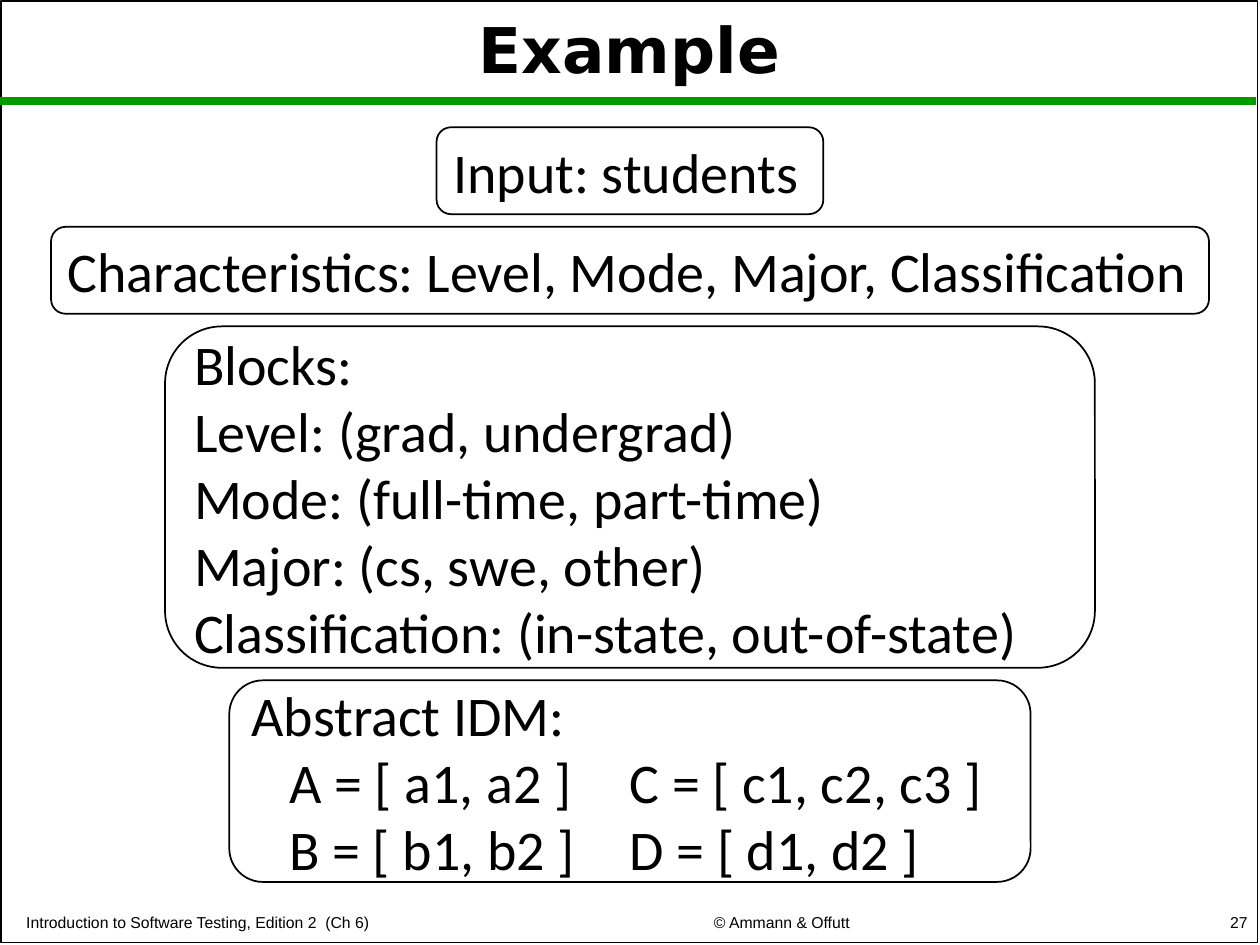
from lxml import etree
from pptx import Presentation
from pptx.dml.color import RGBColor
from pptx.enum import shapes, text
from pptx.oxml import ns
from pptx.util import Inches, Pt

BLACK = RGBColor(0, 0, 0)
WHITE = RGBColor(255, 255, 255)
GREEN = RGBColor(0, 0x99, 0)
LEFT, CENTER, RIGHT = text.PP_ALIGN.LEFT, text.PP_ALIGN.CENTER, text.PP_ALIGN.RIGHT
MIDDLE, BOTTOM = text.MSO_ANCHOR.MIDDLE, text.MSO_ANCHOR.BOTTOM
STOPS = (0.3, 3)
MID, GAP = 5, 0.1


def set_font(par, name, size, bold=False):
    par.font.name = name
    par.font.size = Pt(size)
    par.font.bold = bold
    par.font.color.rgb = BLACK


def add_tabs(par):
    props = par._p.get_or_add_pPr()
    tabs = etree.SubElement(props, ns.qn("a:tabLst"))
    for stop in STOPS:
        etree.SubElement(tabs, ns.qn("a:tab"), pos=str(Inches(stop)), algn="l")


def fill_text(shape, lines, name, size, align=LEFT, anchor=MIDDLE, bold=False):
    frame = shape.text_frame
    frame.word_wrap = True
    frame.vertical_anchor = anchor
    frame.text = "\n".join(lines)
    for par in frame.paragraphs:
        par.alignment = align
        if "\t" in par.text:
            add_tabs(par)
        set_font(par, name, size, bold)


def add_frame(slide):
    box = slide.shapes.add_shape(shapes.MSO_SHAPE.RECTANGLE, Inches(0.01),
                                 Inches(0.01), Inches(9.97), Inches(7.47))
    box.shadow.inherit = False
    box.fill.background()
    box.line.color.rgb = BLACK
    box.line.width = Pt(1)


def add_rule(slide):
    rule = slide.shapes.add_connector(shapes.MSO_CONNECTOR.STRAIGHT, 0,
                                      Inches(0.8), Inches(9.97), Inches(0.8))
    rule.line.color.rgb = GREEN
    rule.line.width = Pt(4.5)
    etree.SubElement(rule._element.spPr, ns.qn("a:effectLst"))


def set_title(slide, words):
    title = slide.shapes.title
    title.left, title.top = Inches(0.01), Inches(0.11)
    title.width, title.height = Inches(9.97), Inches(0.63)
    fill_text(title, [words], "DejaVu Sans", 36, CENTER, bold=True)
    title.text_frame.paragraphs[0].line_spacing = 0.9


def add_note(slide, words, left, width, align):
    """Add one part of the footer line."""
    box = slide.shapes.add_textbox(Inches(left), Inches(7.17),
                                   Inches(width), Inches(0.27))
    fill_text(box, [words], "Arial", 9, align, BOTTOM)


def add_panel(slide, top, width, height, lines):
    """Add a rounded panel centred on the slide."""
    panel = slide.shapes.add_shape(
        shapes.MSO_SHAPE.ROUNDED_RECTANGLE, Inches(MID - width / 2),
        Inches(top), Inches(width), Inches(height))
    panel.shadow.inherit = False
    panel.fill.solid()
    panel.fill.fore_color.rgb = WHITE
    panel.line.color.rgb = BLACK
    panel.line.width = Pt(1)
    fill_text(panel, lines, "Calibri", 32)


def main():
    deck = Presentation()
    deck.slide_width, deck.slide_height = Inches(10), Inches(7.5)
    slide = deck.slides.add_slide(deck.slide_layouts[5])
    add_frame(slide)
    add_rule(slide)
    set_title(slide, "Example")

    add_note(slide, "Introduction to Software Testing, Edition 2  (Ch 6)",
             0.11, 4.31, LEFT)
    add_note(slide, "© Ammann & Offutt", 4.62, 3.17, CENTER)
    add_note(slide, "27", 7.92, 2.08, RIGHT)

    panels = [
        (3.07, 0.69, ["Input: students"]),
        (9.19, 0.69, ["Characteristics: Level, Mode, Major, Classification"]),
        (7.38, 2.71, ["Blocks:",
                      "Level: (grad, undergrad)",
                      "Mode: (full-time, part-time)",
                      "Major: (cs, swe, other)",
                      "Classification: (in-state, out-of-state)"]),
        (6.36, 1.6, ["Abstract IDM:",
                     "\tA = [ a1, a2 ]\tC = [ c1, c2, c3 ]",
                     "\tB = [ b1, b2 ]\tD = [ d1, d2 ]"]),
    ]
    top = 1.01
    for width, height, lines in panels:
        add_panel(slide, top, width, height, lines)
        top += height + GAP
    deck.save("out.pptx")


if __name__ == "__main__":
    main()
